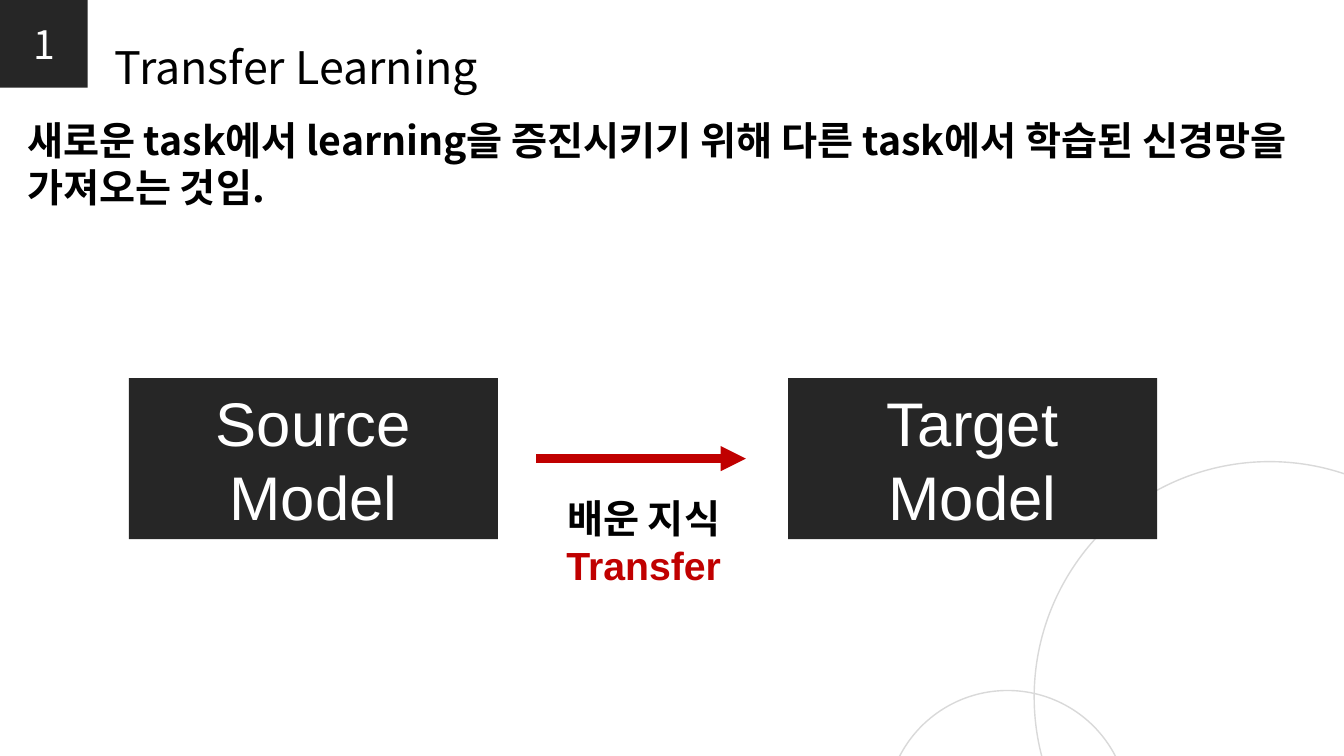
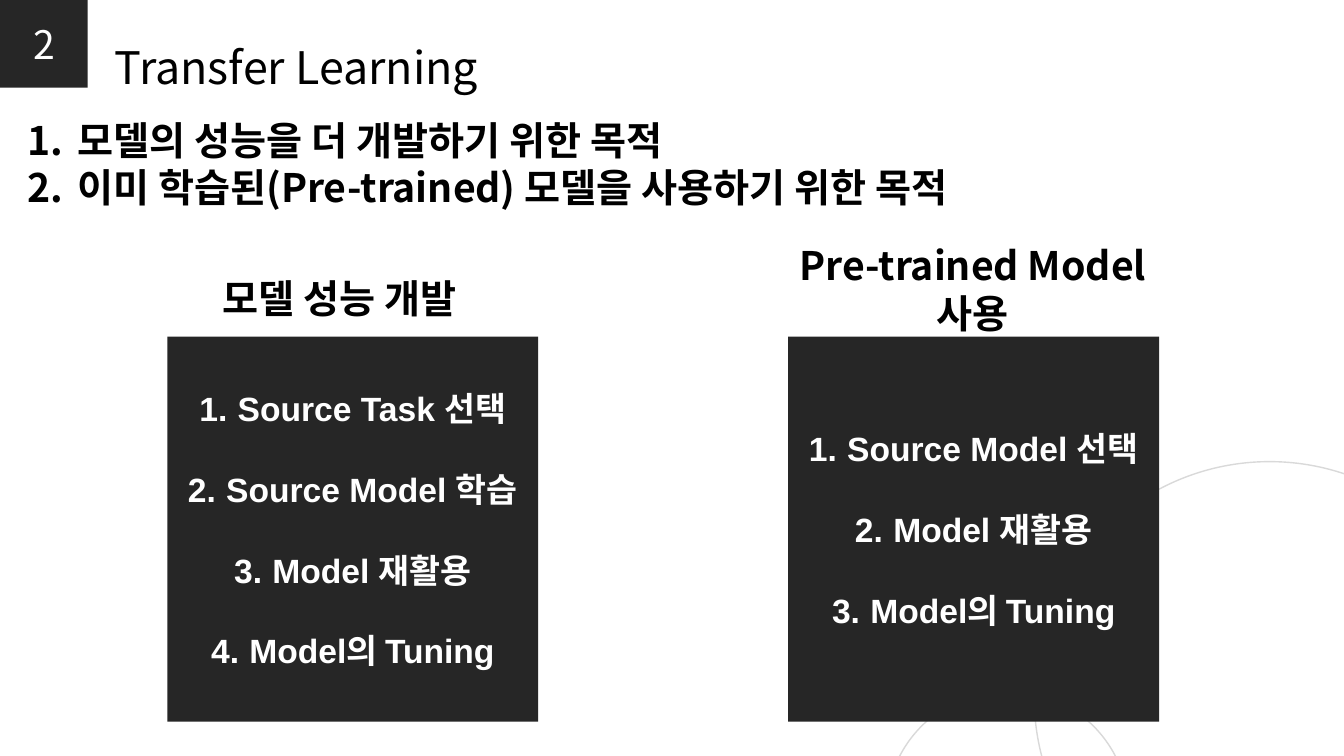
from lxml.etree import SubElement
from pptx import Presentation
from pptx.dml.color import RGBColor
from pptx.enum.shapes import MSO_CONNECTOR, MSO_SHAPE
from pptx.enum.text import MSO_ANCHOR, MSO_AUTO_SIZE, PP_ALIGN
from pptx.oxml.ns import qn
from pptx.util import Inches, Pt

WIDE, HIGH = Inches(13.333), Inches(7.5)
DARK = RGBColor(0x26, 0x26, 0x26)
WHITE = RGBColor(0xFF, 0xFF, 0xFF)
BLACK = RGBColor(0, 0, 0)
RED = RGBColor(0xC0, 0, 0)
GREY = RGBColor(0xD9, 0xD9, 0xD9)
NOTO, ARIAL = "Noto Sans CJK JP", "Arial"

BADGE = {"name": NOTO, "size": Pt(28), "bold": False}
TITLE = {"name": NOTO, "size": Pt(32), "bold": False}
BODY = {"name": NOTO, "size": Pt(28), "bold": True}
NOTE = {"name": ARIAL, "size": Pt(28), "bold": True}
MODEL = {"name": ARIAL, "size": Pt(44), "bold": False}
STEP = {"name": ARIAL, "size": Pt(24), "bold": True}

LEAD = (1.28, 14.67, 96.9, 13.87)
RIGHT = 58.65


def area(left, top, width, height):
    """Turn percentages of the slide into lengths."""
    return (int(WIDE * left / 100), int(HIGH * top / 100),
            int(WIDE * width / 100), int(HIGH * height / 100))


def number(para, indent):
    props = para._p.get_or_add_pPr()
    props.set("marL", str(Inches(indent)))
    props.set("indent", str(-Inches(indent)))
    SubElement(props, qn("a:buFont"), typeface="+mj-lt")
    SubElement(props, qn("a:buAutoNum"), type="arabicPeriod")


def write(frame, lines, style, colors, align, indent=0, gap=0):
    """Fill a frame with one paragraph a line; the last colour repeats."""
    for i, line in enumerate(lines):
        para = frame.add_paragraph() if i else frame.paragraphs[0]
        para.alignment = align
        if i and gap:
            para.space_before = Pt(gap)
        if indent:
            number(para, indent)
        run = para.add_run()
        run.text = line
        for key, value in style.items():
            setattr(run.font, key, value)
        run.font.color.rgb = colors[min(i, len(colors) - 1)]
        SubElement(run._r.get_or_add_rPr(), qn("a:ea"), typeface=NOTO)


def label(slide, place, lines, style, colors=(BLACK,), align=PP_ALIGN.LEFT,
          wrap=False, indent=0):
    frame = slide.shapes.add_textbox(*area(*place)).text_frame
    frame.word_wrap = wrap
    frame.auto_size = MSO_AUTO_SIZE.SHAPE_TO_FIT_TEXT
    write(frame, lines, style, colors, align, indent)


def panel(slide, place, lines, style, indent=0, gap=0):
    box = slide.shapes.add_shape(MSO_SHAPE.RECTANGLE, *area(*place))
    box.shadow.inherit = False
    box.fill.solid()
    box.fill.fore_color.rgb = DARK
    box.line.fill.background()
    frame = box.text_frame
    frame.word_wrap = True
    frame.vertical_anchor = MSO_ANCHOR.MIDDLE
    write(frame, lines, style, (WHITE,), PP_ALIGN.CENTER, indent, gap)


def ring(slide, left, top, size):
    """Draw a thin circle, measured in inches so that it stays round."""
    oval = slide.shapes.add_shape(
        MSO_SHAPE.OVAL, *(Inches(n) for n in (left, top, size, size)))
    oval.shadow.inherit = False
    oval.fill.background()
    oval.line.color.rgb = GREY
    oval.line.width = Pt(1)


def arrow(slide, start, end, level):
    left, top, span, _ = area(start, level, end - start, 0)
    line = slide.shapes.add_connector(
        MSO_CONNECTOR.STRAIGHT, left, top, left + span, top)
    line.line.color.rgb = RED
    line.line.width = Pt(6)
    SubElement(line.line._get_or_add_ln(), qn("a:tailEnd"), type="triangle")
    SubElement(line._element.spPr, qn("a:effectLst"))


def page(deck, title):
    """Add a slide with the shared rings, number badge and title."""
    slide = deck.slides.add_slide(deck.slide_layouts[6])
    ring(slide, 10.26, 4.58, 4.67)
    ring(slide, 8.79, 6.85, 2.41)
    panel(slide, (0, 0, 6.53, 11.6), [str(len(deck.slides))], BADGE)
    label(slide, (7.8, 4.53, 29.25, 8.53), [title], TITLE)
    return slide


def idea(deck):
    slide = page(deck, "Transfer Learning")
    label(slide, LEAD, ["새로운 task에서 learning을 증진시키기 위해 다른 task에서 "
                        "학습된 신경망을 가져오는 것임."], BODY, wrap=True)
    for left, name in ((9.6, "Source"), (RIGHT, "Target")):
        panel(slide, (left, 50, 27.45, 21.33), [name, "Model"], MODEL)
    arrow(slide, 39.9, 55.5, 50 + 21.33 / 2)
    label(slide, (40.8, 64.67, 14.18, 13.87), ["배운 지식", "Transfer"],
          NOTE, (BLACK, RED), PP_ALIGN.CENTER)


def goals(deck):
    slide = page(deck, "Transfer Learning")
    label(slide, LEAD, ["모델의 성능을 더 개발하기 위한 목적",
                        "이미 학습된(Pre-trained) 모델을 사용하기 위한 목적"],
          BODY, wrap=True, indent=0.5)
    reuse = ["Model 재활용", "Model의 Tuning"]
    plans = (
        (12.45, ["Source Task 선택", "Source Model 학습"] + reuse),
        (RIGHT, ["Source Model 선택"] + reuse),
    )
    for left, steps in plans:
        panel(slide, (left, 44.53, 27.6, 50.93), steps, STEP,
              indent=0.38, gap=29)
    label(slide, (15.83, 35.6, 20.93, 7.6), ["모델 성능 개발"], BODY)
    label(slide, (58.05, 31.33, 28.65, 13.87), ["Pre-trained Model", "사용"],
          BODY, align=PP_ALIGN.CENTER)


def main():
    deck = Presentation()
    deck.slide_width, deck.slide_height = WIDE, HIGH
    idea(deck)
    goals(deck)
    deck.save("out.pptx")


if __name__ == "__main__":
    main()
